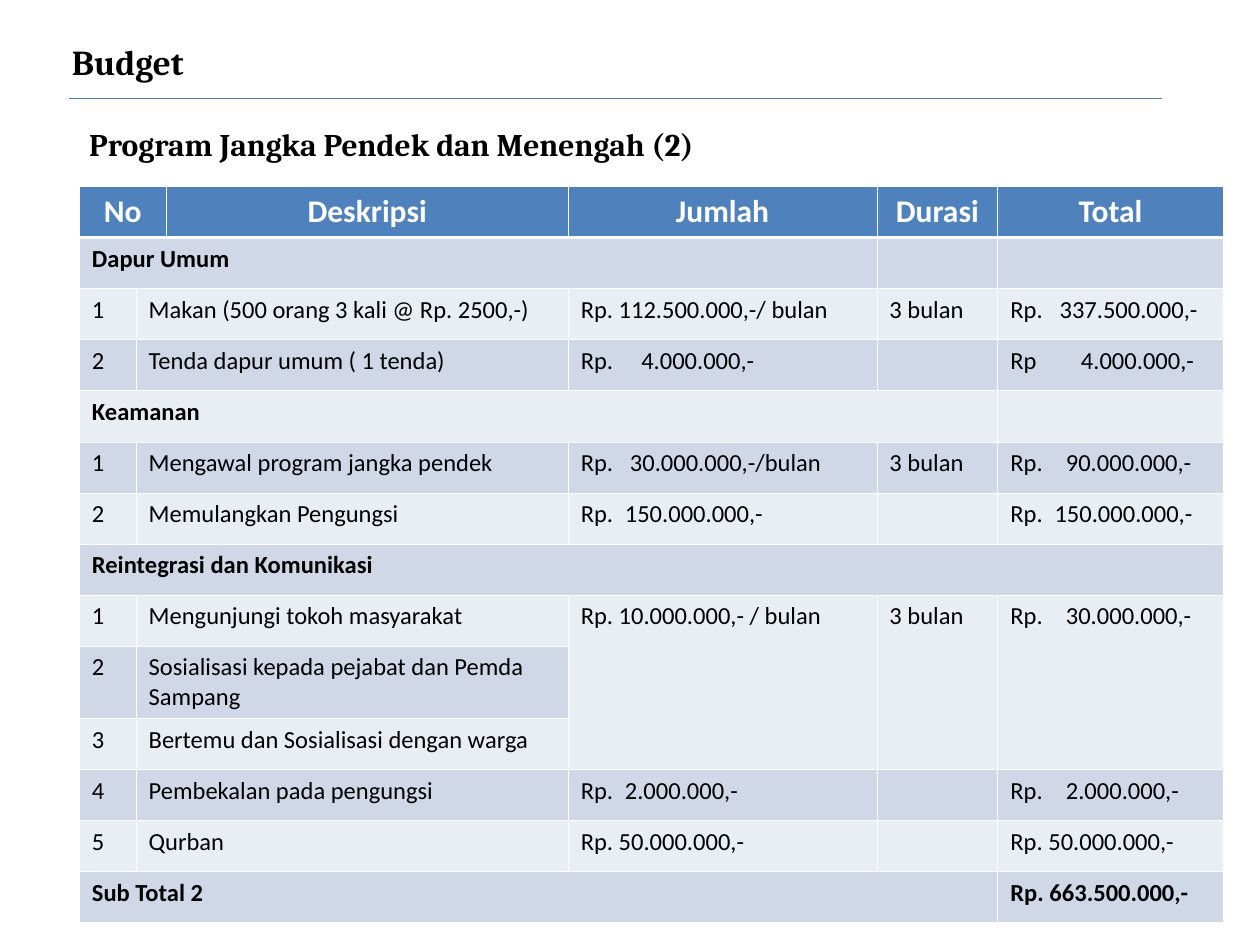
from lxml.etree import SubElement
from pptx import Presentation
from pptx.dml.color import RGBColor
from pptx.enum.shapes import MSO_CONNECTOR
from pptx.enum.text import MSO_ANCHOR, PP_ALIGN
from pptx.oxml import parse_xml
from pptx.oxml.ns import nsdecls, qn
from pptx.util import Inches, Pt

COLORS = {
    "text": "000000", "header_text": "FFFFFF", "header": "4F81BD",
    "dark_band": "D0D8E8", "light_band": "E9EDF4",
    "border": "FFFFFF", "rule": "4A7EBB",
}
TITLE = "Budget"
SUBTITLE = "Program Jangka Pendek dan Menengah (2)"
HEADER = ("No", "", "Deskripsi", "Jumlah", "Durasi", "Total")

# A tuple is a currency mark, an amount and the tab stop of the amount.
ROWS = [
    HEADER,
    ("Dapur Umum",),
    ("1", "Makan (500 orang 3 kali @ Rp. 2500,-)", "", "Rp. 112.500.000,-/ bulan",
     "3 bulan", ("Rp.", "337.500.000,-", 0.39)),
    ("2", "Tenda dapur umum ( 1 tenda)", "", ("Rp.", "4.000.000,-", 0.48),
     "", ("Rp", "4.000.000,-", 0.56)),
    ("Keamanan",),
    ("1", "Mengawal program jangka pendek", "", ("Rp.", "30.000.000,-/bulan", 0.39),
     "3 bulan", ("Rp.", "90.000.000,-", 0.44)),
    ("2", "Memulangkan Pengungsi", "", ("Rp.", "150.000.000,-", 0.35),
     "", ("Rp.", "150.000.000,-", 0.35)),
    ("Reintegrasi dan Komunikasi",),
    ("1", "Mengunjungi tokoh masyarakat", "", "Rp. 10.000.000,- / bulan",
     "3 bulan", ("Rp.", "30.000.000,-", 0.44)),
    ("2", "Sosialisasi kepada pejabat dan Pemda Sampang"),
    ("3", "Bertemu dan Sosialisasi dengan warga"),
    ("4", "Pembekalan pada pengungsi", "", ("Rp.", "2.000.000,-", 0.35),
     "", ("Rp.", "2.000.000,-", 0.44)),
    ("5", "Qurban", "", "Rp. 50.000.000,-", "", "Rp. 50.000.000,-"),
    ("Sub Total 2", "", "", "", "", "Rp. 663.500.000,-"),
]
HEADING_SPANS = {0: 2, 1: 4, 4: 5, 7: 6, 13: 5}
SHARED_ROWS = (8, 10)
SHARED_COLUMNS = (3, 4, 5)
TALL_ROW = 9
COLUMN_WIDTHS = (0.45, 0.24, 3.19, 2.45, 0.96, 1.79)
TABLE_HEIGHT, TALL_HEIGHT = 5.84, 0.57
THIN, THICK = 0.45, 1.47


def add_text(paragraph, text, font_name, size, color, bold):
    run = paragraph.add_run()
    run.text = text
    run.font.name = font_name
    run.font.size = Pt(size)
    run.font.bold = bold
    run.font.color.rgb = RGBColor.from_string(COLORS[color])


def add_tab_stop(paragraph, position):
    stops = SubElement(paragraph._p.get_or_add_pPr(), qn("a:tabLst"))
    SubElement(stops, qn("a:tab"), pos=str(Inches(position)), algn="l")


def set_borders(cell, top, bottom):
    sides = (("L", THIN), ("R", THIN), ("T", top), ("B", bottom))
    for order, (side, width) in enumerate(sides):
        border = parse_xml(
            f'<a:ln{side} {nsdecls("a")} w="{Pt(width)}"><a:solidFill>'
            f'<a:srgbClr val="{COLORS["border"]}"/></a:solidFill></a:ln{side}>')
        cell._tc.get_or_add_tcPr().insert(order, border)


def fill_cell(cell, content, row):
    band = "header" if row == 0 else "dark_band" if row % 2 else "light_band"
    cell.fill.solid()
    cell.fill.fore_color.rgb = RGBColor.from_string(COLORS[band])
    set_borders(cell, THICK if row == 1 else THIN, THICK if row == 0 else THIN)
    if not content:
        return
    paragraph = cell.text_frame.paragraphs[0]
    if isinstance(content, tuple):
        mark, amount, stop = content
        add_tab_stop(paragraph, stop)
        content = f"{mark}\t{amount}"
    if row == 0:
        paragraph.alignment = PP_ALIGN.CENTER
        add_text(paragraph, content, "Calibri", 18, "header_text", True)
    else:
        add_text(paragraph, content, "Calibri", 14, "text", row in HEADING_SPANS)


def add_budget_table(slide):
    budget = slide.shapes.add_table(
        len(ROWS), len(COLUMN_WIDTHS), Inches(0.63), Inches(1.48),
        Inches(sum(COLUMN_WIDTHS)), Inches(TABLE_HEIGHT)).table
    budget.first_row = budget.horz_banding = False
    for column, width in zip(budget.columns, COLUMN_WIDTHS):
        column.width = Inches(width)
    row_height = (TABLE_HEIGHT - TALL_HEIGHT) / (len(ROWS) - 1)
    for row, contents in enumerate(ROWS):
        budget.rows[row].height = Inches(TALL_HEIGHT if row == TALL_ROW else row_height)
        for column in range(len(COLUMN_WIDTHS)):
            content = contents[column] if column < len(contents) else ""
            fill_cell(budget.cell(row, column), content, row)
        first = 0 if row in HEADING_SPANS else 1
        last = HEADING_SPANS.get(row, 3) - 1
        budget.cell(row, first).merge(budget.cell(row, last))
    for column in SHARED_COLUMNS:
        top, bottom = SHARED_ROWS
        budget.cell(top, column).merge(budget.cell(bottom, column))


def main():
    presentation = Presentation()
    presentation.slide_width, presentation.slide_height = Inches(10), Inches(7.5)
    slide = presentation.slides.add_slide(presentation.slide_layouts[5])

    title = slide.shapes.title
    title.left, title.top = Inches(0.47), Inches(0.27)
    title.width, title.height = Inches(4.14), Inches(0.44)
    title.text_frame.vertical_anchor = MSO_ANCHOR.TOP
    heading = title.text_frame.paragraphs[0]
    heading.alignment = PP_ALIGN.LEFT
    add_text(heading, TITLE, "Cambria", 20, "text", True)

    rule = slide.shapes.add_connector(
        MSO_CONNECTOR.STRAIGHT, Inches(0.55), Inches(0.78), Inches(9.22), Inches(0.78))
    rule.line.color.rgb = RGBColor.from_string(COLORS["rule"])
    rule.line.width = Pt(0.75)
    SubElement(rule._element.spPr, qn("a:effectLst"))

    add_budget_table(slide)

    subtitle = slide.shapes.add_textbox(Inches(0.61), Inches(0.94), Inches(5.07), Inches(0.4))
    subtitle.text_frame.word_wrap = False
    add_text(subtitle.text_frame.paragraphs[0], SUBTITLE, "Cambria", 18, "text", True)

    presentation.save("out.pptx")


if __name__ == "__main__":
    main()
